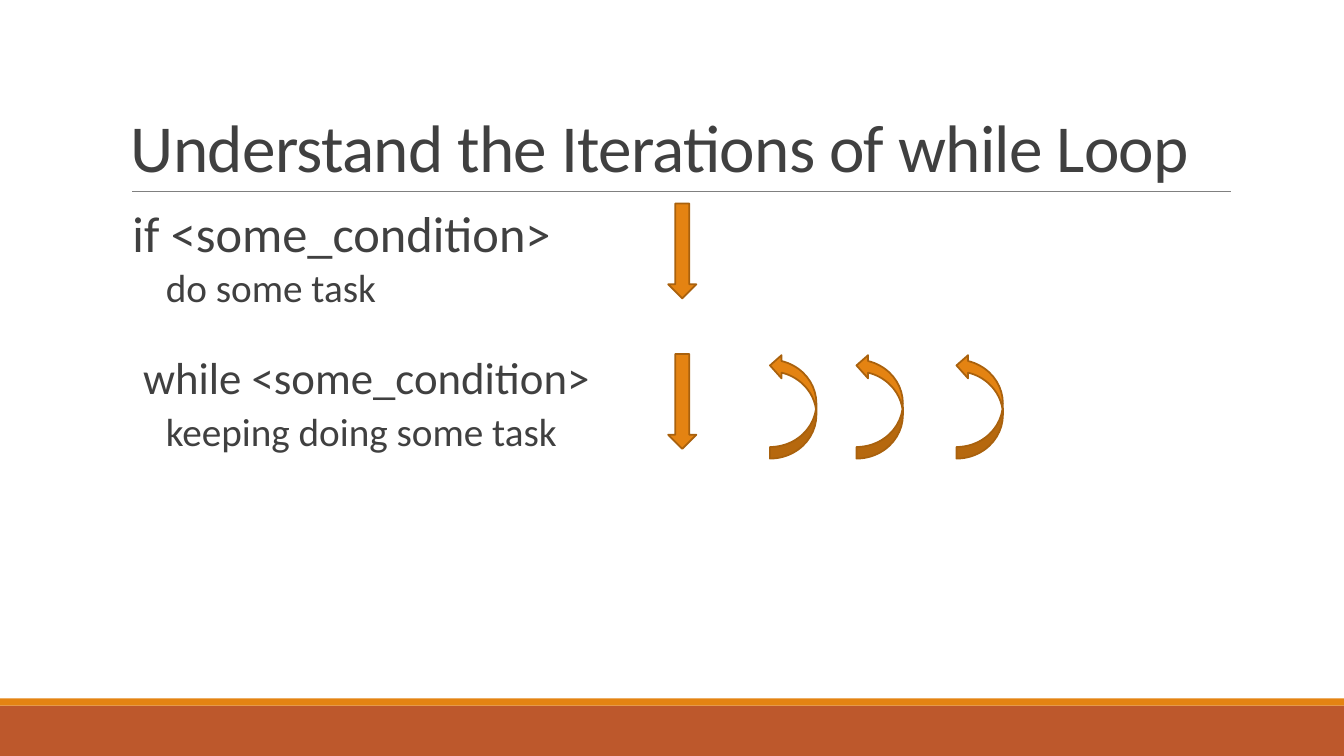
from lxml.etree import SubElement
from pptx import Presentation
from pptx.dml.color import RGBColor
from pptx.enum.shapes import MSO_CONNECTOR, MSO_SHAPE
from pptx.enum.text import MSO_ANCHOR
from pptx.oxml.ns import qn
from pptx.util import Cm, Pt

COLORS = {
    "text": "404040",
    "rule": "808080",
    "orange": "E48312",
    "outline": "A9610D",
    "rust": "BD582C",
}
FONT = "Calibri"
SLIDE_WIDTH, SLIDE_HEIGHT = 33.87, 19.05
TEXT_LEFT, TEXT_WIDTH = 3.05, 27.94

CODE_LINES = [
    ("if <some_condition>", 36, 0.29, 12, 2),
    ("do some task", 28, 1.13, 2, 4),
    ("while <some_condition>", 32, 0.56, 27.8, 4),
    ("keeping doing some task", 28, 1.13, 2, 4),
]


def color(name):
    return RGBColor.from_string(COLORS[name])


def add_filled_shape(slide, kind, left, top, width, height, fill, outline=None):
    shape = slide.shapes.add_shape(kind, Cm(left), Cm(top), Cm(width), Cm(height))
    shape.shadow.inherit = False
    shape.fill.solid()
    shape.fill.fore_color.rgb = color(fill)
    if outline:
        shape.line.color.rgb = color(outline)
        shape.line.width = Pt(1.25)
    else:
        shape.line.fill.background()
    return shape


def add_rule(slide, left, right, y):
    rule = slide.shapes.add_connector(
        MSO_CONNECTOR.STRAIGHT, Cm(left), Cm(y), Cm(right), Cm(y))
    rule.line.color.rgb = color("rule")
    rule.line.width = Pt(0.5)
    SubElement(rule._element.spPr, qn("a:effectLst"))


def add_text_frame(slide, top, height):
    box = slide.shapes.add_textbox(
        Cm(TEXT_LEFT), Cm(top), Cm(TEXT_WIDTH), Cm(height))
    box.text_frame.word_wrap = True
    return box.text_frame


def write_line(paragraph, text, size, line_spacing):
    paragraph.text = text
    paragraph.line_spacing = line_spacing
    paragraph.font.name = FONT
    paragraph.font.size = Pt(size)
    paragraph.font.color.rgb = color("text")


def add_title(slide, text):
    frame = add_text_frame(slide, 0.79, 4.03)
    frame.vertical_anchor = MSO_ANCHOR.BOTTOM
    title = frame.paragraphs[0]
    write_line(title, text, 48, 0.85)
    title.runs[0]._r.get_or_add_rPr().set("spc", "-50")


def add_code(slide, lines):
    frame = add_text_frame(slide, 5.13, 11.18)
    frame.margin_left = frame.margin_right = 0
    for index, (text, size, indent, before, after) in enumerate(lines):
        line = frame.add_paragraph() if index else frame.paragraphs[0]
        write_line(line, text, size, 0.9)
        line.space_before = Pt(before)
        line.space_after = Pt(after)
        line._p.get_or_add_pPr().set("marL", str(Cm(indent)))


def add_step_arrow(slide, top):
    add_filled_shape(slide, MSO_SHAPE.DOWN_ARROW, 16.84, top, 0.71, 2.39,
                     "orange", "outline")


def add_loop_arrow(slide, left):
    arrow = add_filled_shape(slide, MSO_SHAPE.CURVED_UP_ARROW, left, 9.65, 2.64, 1.17,
                             "orange", "outline")
    arrow.rotation = 270


def main():
    presentation = Presentation()
    presentation.slide_width = Cm(SLIDE_WIDTH)
    presentation.slide_height = Cm(SLIDE_HEIGHT)
    slide = presentation.slides.add_slide(presentation.slide_layouts[6])

    for top, height, fill in [(17.78, 1.27, "rust"), (17.6, 0.18, "orange")]:
        add_filled_shape(slide, MSO_SHAPE.RECTANGLE, 0, top, SLIDE_WIDTH, height, fill)
    add_rule(slide, 3.33, 31.01, 4.83)
    add_title(slide, "Understand the Iterations of while Loop")
    add_code(slide, CODE_LINES)
    for top in (5.13, 8.92):
        add_step_arrow(slide, top)
    for left in (18.67, 20.85, 23.37):
        add_loop_arrow(slide, left)

    presentation.save("out.pptx")


if __name__ == "__main__":
    main()
